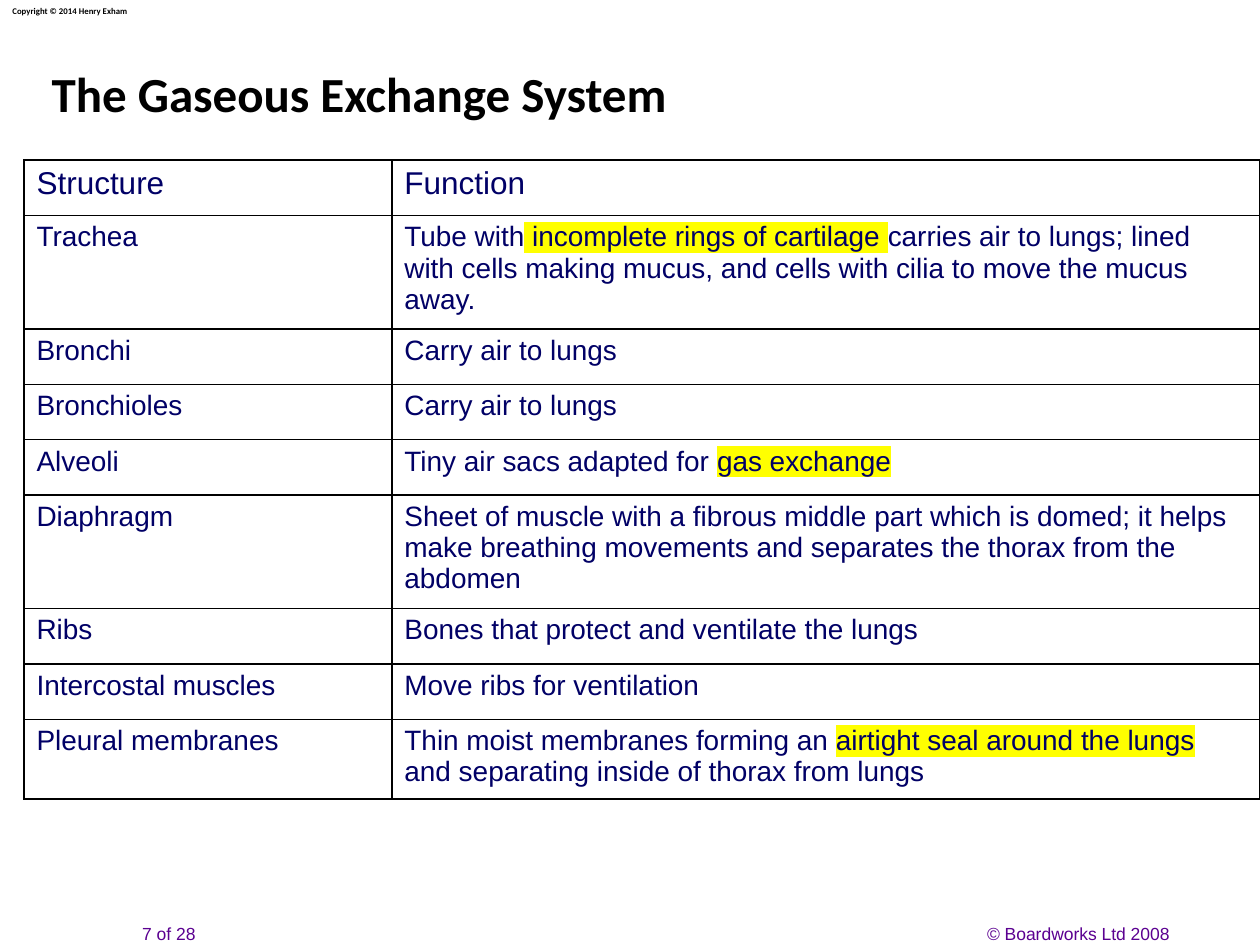
from dataclasses import dataclass

from lxml.etree import SubElement
from pptx import Presentation
from pptx.dml.color import RGBColor
from pptx.enum.text import MSO_ANCHOR, PP_ALIGN
from pptx.oxml import parse_xml
from pptx.oxml.ns import nsdecls, qn
from pptx.util import Inches, Pt


@dataclass(frozen=True)
class Theme:
    black: str = "000000"
    navy: str = "010066"
    purple: str = "5B0091"
    yellow: str = "FFFF00"
    heading_font: str = "Calibri"
    body_font: str = "Arial"
    title: int = 28
    header: int = 18
    body: int = 16
    footer: int = 10
    credit: int = 5
    border: int = 1


THEME = Theme()
COLUMNS = (2.92, 6.89)
ROW_HEIGHTS = {1: 0.44, 2: 0.63, 3: 0.9}

ROWS = [
    ("Structure", ["Function"], 1),
    ("Trachea", ["Tube with", " incomplete rings of cartilage ",
                 "carries air to lungs; lined with cells making mucus, "
                 "and cells with cilia to move the mucus away."], 3),
    ("Bronchi", ["Carry air to lungs"], 1),
    ("Bronchioles", ["Carry air to lungs"], 1),
    ("Alveoli", ["Tiny air sacs adapted for ", "gas exchange"], 1),
    ("Diaphragm", ["Sheet of muscle with a fibrous middle part which is domed; "
                   "it helps make breathing movements and separates the thorax "
                   "from the abdomen"], 3),
    ("Ribs", ["Bones that protect and ventilate the lungs"], 1),
    ("Intercostal muscles", ["Move ribs for ventilation"], 1),
    ("Pleural membranes", ["Thin moist membranes forming an ",
                           "airtight seal around the lungs ",
                           "and separating inside of thorax from lungs"], 2),
]


def add_run(p, text, *, size, color, font, bold=False, highlight=None):
    r = p.add_run()
    r.text = text
    r.font.size = Pt(size)
    r.font.bold = bold
    r.font.color.rgb = RGBColor.from_string(color)
    r.font.name = font
    if highlight:
        mark = parse_xml(f'<a:highlight {nsdecls("a")}>'
                         f'<a:srgbClr val="{highlight}"/></a:highlight>')
        r.font.fill._xPr.find(qn("a:latin")).addprevious(mark)


def add_label(s, text, box, *, align=PP_ALIGN.LEFT, wrap=True, **fmt):
    tf = s.shapes.add_textbox(*map(Inches, box)).text_frame
    tf.word_wrap = wrap
    tf.paragraphs[0].alignment = align
    add_run(tf.paragraphs[0], text, **fmt)


def add_title(s, text):
    sp = s.shapes.title
    sp.left, sp.top, sp.width, sp.height = map(Inches, (0.31, 0.11, 9, 1.25))
    tf = sp.text_frame
    tf.vertical_anchor = MSO_ANCHOR.MIDDLE
    tf.paragraphs[0].alignment = PP_ALIGN.LEFT
    add_run(tf.paragraphs[0], text, size=THEME.title, color=THEME.black,
            font=THEME.heading_font, bold=True)


def set_borders(cell):
    tcPr = cell._tc.get_or_add_tcPr()
    for i, side in enumerate(("lnL", "lnR", "lnT", "lnB")):
        ln = parse_xml(f'<a:{side} {nsdecls("a")} w="{Pt(THEME.border)}"/>')
        fill = SubElement(ln, qn("a:solidFill"))
        SubElement(fill, qn("a:srgbClr"), val=THEME.black)
        tcPr.insert(i, ln)


def fill_cell(cell, parts, size):
    cell.fill.background()
    set_borders(cell)
    for i, text in enumerate(parts):
        add_run(cell.text_frame.paragraphs[0], text, size=size,
                color=THEME.navy, font=THEME.body_font,
                highlight=THEME.yellow if i % 2 else None)


def add_structure_table(s):
    heights = [ROW_HEIGHTS[lines] for _, _, lines in ROWS]
    table = s.shapes.add_table(
        len(ROWS), len(COLUMNS), Inches(0.19), Inches(1.27),
        Inches(sum(COLUMNS)), Inches(sum(heights))).table
    table.first_row = table.horz_banding = False
    for col, width in zip(table.columns, COLUMNS):
        col.width = Inches(width)
    for i, (structure, function, _) in enumerate(ROWS):
        table.rows[i].height = Inches(heights[i])
        size = THEME.body if i else THEME.header
        fill_cell(table.cell(i, 0), [structure], size)
        fill_cell(table.cell(i, 1), function, size)


def main():
    prs = Presentation()
    prs.slide_width, prs.slide_height = Inches(10), Inches(7.5)
    s = prs.slides.add_slide(prs.slide_layouts[5])
    footer = dict(size=THEME.footer, color=THEME.purple, font=THEME.body_font)
    add_label(s, "7 of 28", (0.98, 7.28, 0.72, 0.27),
              align=PP_ALIGN.CENTER, **footer)
    add_label(s, "© Boardworks Ltd 2008", (7.05, 7.28, 2.33, 0.27),
              align=PP_ALIGN.RIGHT, **footer)
    add_structure_table(s)
    add_title(s, "The Gaseous Exchange System")
    add_label(s, "Copyright © 2014 Henry Exham", (0, 0, 1.19, 0.19), wrap=False,
              size=THEME.credit, color=THEME.black, font=THEME.heading_font,
              bold=True)
    prs.save("out.pptx")


if __name__ == "__main__":
    main()
